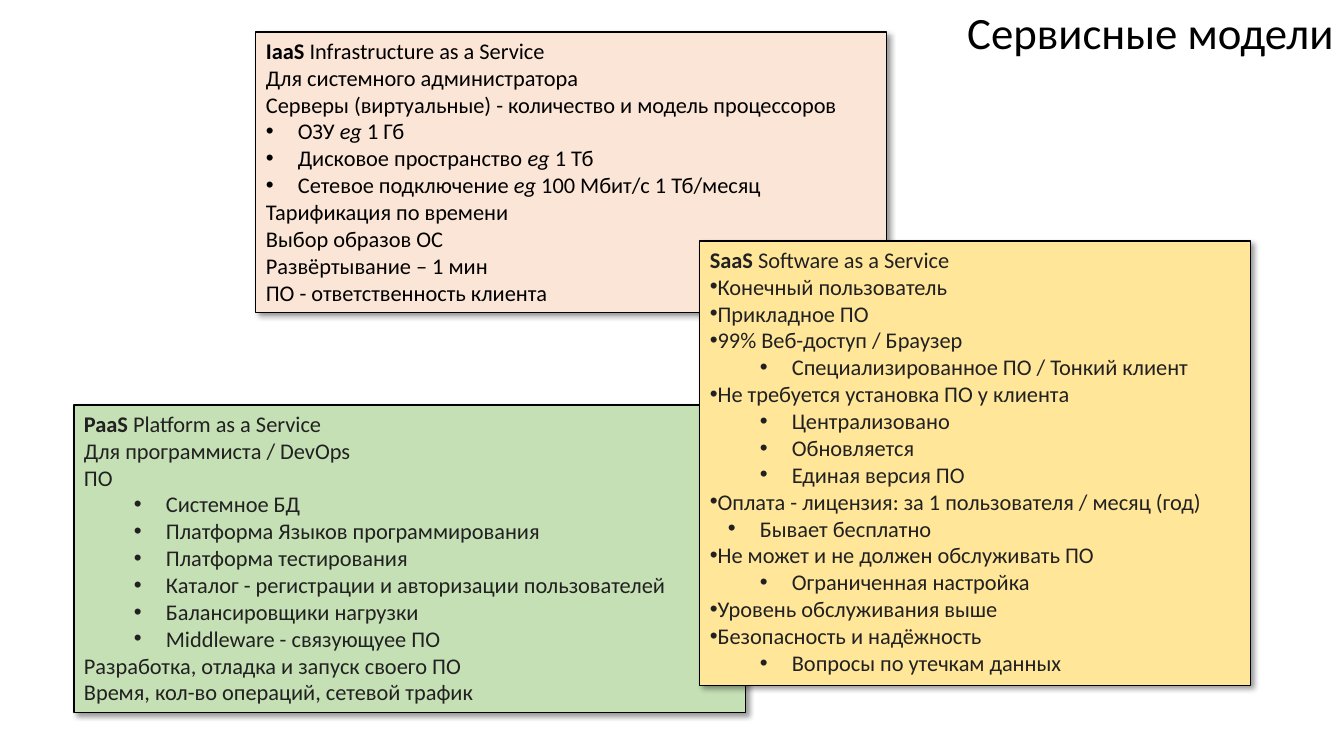
from lxml import etree
from pptx import Presentation
from pptx import util as u
from pptx.dml.color import RGBColor
from pptx.enum import shapes, text
from pptx.oxml import parse_xml
from pptx.oxml.ns import nsdecls, qn

SCALE = 914400 / 100.8  # EMU per pixel
FONT = "Calibri"
COLORS = {
    "black": "000000",
    "ink": "212121",
    "peach": "FBE5D6",
    "green": "C5E0B4",
    "yellow": "FFE699",
}

# Paragraph kinds: outline level, left margin and first-line indent in pixels
HEAD, PLAIN, TIGHT, BULLET, SUB, NEAR = "head", "plain", "tight", "bullet", "sub", "near"
INDENTS = {
    TIGHT: (0, 0, 0),
    BULLET: (0, 32, -32),
    SUB: (1, 82, -32),
    NEAR: (1, 50, -32),
}

# Every second part between bars is emphasised: bold in heads, italic elsewhere
IAAS = [
    (HEAD, "|IaaS |Infrastructure as a Service"),
    (PLAIN, "Для системного администратора"),
    (PLAIN, "Серверы (виртуальные) - количество и модель процессоров"),
    (BULLET, "ОЗУ |eg |1 Гб"),
    (BULLET, "Дисковое пространство |eg |1 Тб"),
    (BULLET, "Сетевое подключение |eg |100 Мбит/с 1 Тб/месяц"),
    (PLAIN, "Тарификация по времени"),
    (PLAIN, "Выбор образов ОС"),
    (PLAIN, "Развёртывание – 1 мин"),
    (PLAIN, "ПО - ответственность клиента"),
]
PAAS = [
    (HEAD, "|PaaS |Platform as a Service"),
    (PLAIN, "Для программиста / DevOps"),
    (PLAIN, "ПО"),
    (SUB, "Системное БД"),
    (SUB, "Платформа Языков программирования"),
    (SUB, "Платформа тестирования"),
    (SUB, "Каталог - регистрации и авторизации пользователей"),
    (SUB, "Балансировщики нагрузки"),
    (SUB, "Middleware - связующуее ПО"),
    (PLAIN, "Разработка, отладка и запуск своего ПО"),
    (PLAIN, "Время, кол-во операций, сетевой трафик"),
]
SAAS = [
    (HEAD, "|SaaS |Software as a Service"),
    (TIGHT, "Конечный пользователь"),
    (TIGHT, "Прикладное ПО"),
    (TIGHT, "99% Веб-доступ / Браузер"),
    (SUB, "Специализированное ПО / Тонкий клиент"),
    (TIGHT, "Не требуется установка ПО у клиента"),
    (SUB, "Централизовано"),
    (SUB, "Обновляется"),
    (SUB, "Единая версия ПО"),
    (TIGHT, "Оплата - лицензия: за 1 пользователя / месяц (год)"),
    (NEAR, "Бывает бесплатно"),
    (TIGHT, "Не может и не должен обслуживать ПО"),
    (SUB, "Ограниченная настройка"),
    (TIGHT, "Уровень обслуживания выше"),
    (TIGHT, "Безопасность и надёжность"),
    (SUB, "Вопросы по утечкам данных"),
]


def px(pixels):
    return u.Emu(round(pixels * SCALE))


def color(name):
    return RGBColor.from_string(COLORS[name])


def style_font(font, size, ink):
    font.name, font.size = FONT, u.Pt(size)
    font.color.rgb = color(ink)


def add_bullet(para, kind):
    para.level, margin, indent = INDENTS[kind]
    props = para._p.get_or_add_pPr()
    props.set("marL", str(px(margin)))
    props.set("indent", str(px(indent)))
    etree.SubElement(props, qn("a:buFont")).set("typeface", "Arial")
    etree.SubElement(props, qn("a:buChar")).set("char", "•")


def write_line(para, kind, line, ink):
    para.alignment = text.PP_ALIGN.LEFT
    if kind in INDENTS:
        add_bullet(para, kind)
    for index, part in enumerate(line.split("|")):
        if not part:
            continue
        span = para.add_run()
        span.text = part
        style_font(span.font, 16, ink)
        if index % 2:
            span.font.bold = kind == HEAD
            span.font.italic = kind != HEAD


def add_shadow(box):
    box.shadow.inherit = False
    effects = box._element.spPr.find(qn("a:effectLst"))
    effects.append(parse_xml(
        f'<a:outerShdw {nsdecls("a")} blurRad="{u.Pt(4)}" dist="{u.Pt(3)}" '
        'dir="2700000" algn="tl" rotWithShape="0">'
        f'<a:srgbClr val="{COLORS["black"]}"><a:alpha val="40000"/></a:srgbClr>'
        '</a:outerShdw>'))


def add_card(page, place, fill, ink, lines):
    box = page.shapes.add_shape(shapes.MSO_SHAPE.RECTANGLE, *map(px, place))
    box.fill.solid()
    box.fill.fore_color.rgb = color(fill)
    box.line.color.rgb = color("black")
    box.line.width = u.Pt(0.75)
    add_shadow(box)
    frame = box.text_frame
    frame.word_wrap = True
    frame.auto_size = text.MSO_AUTO_SIZE.SHAPE_TO_FIT_TEXT
    frame.vertical_anchor = text.MSO_ANCHOR.TOP
    for index, (kind, line) in enumerate(lines):
        para = frame.add_paragraph() if index else frame.paragraphs[0]
        write_line(para, kind, line, ink)


def add_title(page, place, title):
    frame = page.shapes.add_textbox(*map(px, place)).text_frame
    frame.text = title
    frame.word_wrap = False
    frame.auto_size = text.MSO_AUTO_SIZE.SHAPE_TO_FIT_TEXT
    para = frame.paragraphs[0]
    para.alignment = text.PP_ALIGN.RIGHT
    style_font(para.runs[0].font, 32, "black")


def main():
    deck = Presentation()
    deck.slide_width, deck.slide_height = px(1344), px(756)
    page = deck.slides.add_slide(deck.slide_layouts[6])

    add_title(page, (954, 0, 390, 64), "Сервисные модели")

    # Service models, from back to front
    add_card(page, (256, 32, 631, 281), "peach", "black", IAAS)
    add_card(page, (74, 405, 672, 308), "green", "ink", PAAS)
    add_card(page, (700, 241, 551, 445), "yellow", "ink", SAAS)

    deck.save("out.pptx")


main()
